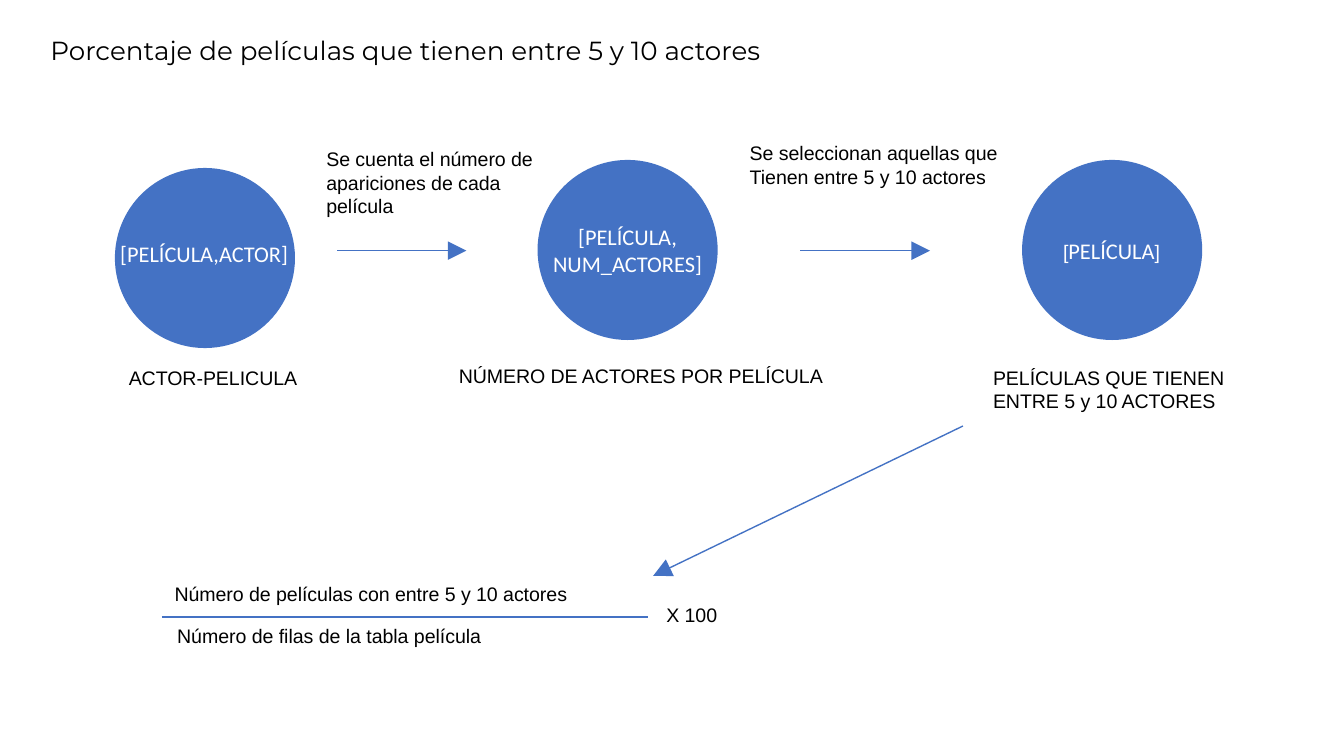
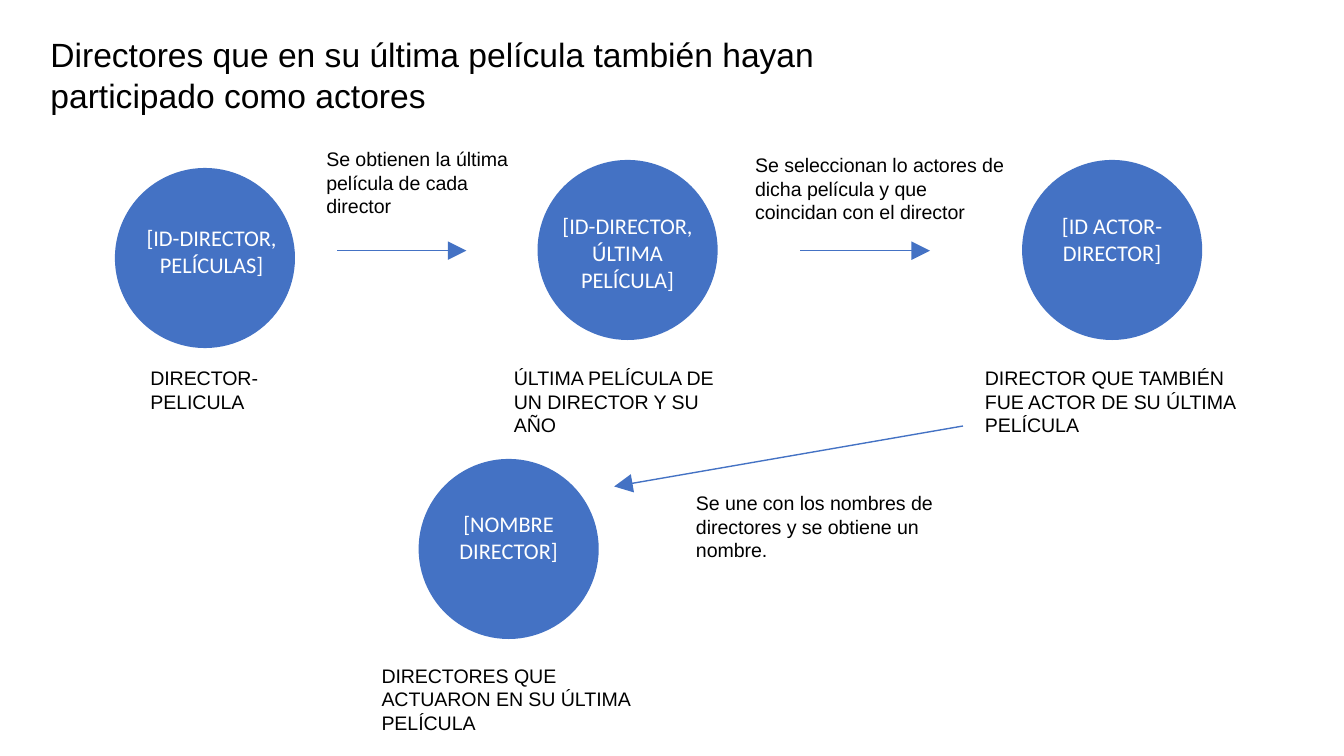
from dataclasses import dataclass

from lxml import etree
from pptx import Presentation
from pptx.dml.color import RGBColor
from pptx.enum.shapes import MSO_CONNECTOR, MSO_SHAPE
from pptx.enum.text import MSO_ANCHOR, MSO_AUTO_SIZE, PP_ALIGN
from pptx.oxml.ns import qn
from pptx.util import Emu, Pt

STRAIGHT = MSO_CONNECTOR.STRAIGHT
OVAL = MSO_SHAPE.OVAL
TOP = MSO_ANCHOR.TOP
NO_AUTOFIT = MSO_AUTO_SIZE.NONE
LEFT, CENTER = PP_ALIGN.LEFT, PP_ALIGN.CENTER
TITLE_ONLY = 5
EMU_PER_PX = 4572  # 200 px to the inch


@dataclass(frozen=True)
class TextStyle:
    font: str
    size: float
    color: RGBColor


@dataclass(frozen=True)
class Theme:
    accent: RGBColor = RGBColor(0x44, 0x72, 0xC4)
    ink: RGBColor = RGBColor(0, 0, 0)
    paper: RGBColor = RGBColor(0xFF, 0xFF, 0xFF)
    line_width: float = 0.75
    note_size: float = 10.5
    field_size: float = 12
    short_title_size: float = 14
    long_title_size: float = 18


THEME = Theme()
NOTE = TextStyle("Arial", THEME.note_size, THEME.ink)
FIELD = TextStyle("Calibri", THEME.field_size, THEME.paper)
BRACKET = TextStyle("Arial", THEME.note_size, THEME.paper)
SHORT_TITLE = TextStyle("Montserrat", THEME.short_title_size, THEME.ink)
LONG_TITLE = TextStyle("Arial", THEME.long_title_size, THEME.ink)


@dataclass(frozen=True)
class Box:
    left: int
    top: int
    width: int
    height: int


@dataclass(frozen=True)
class Run:
    text: str
    style: TextStyle


Paragraph = str | tuple[Run, ...]


@dataclass(frozen=True)
class Label:
    box: Box
    paragraphs: tuple[Paragraph, ...]
    style: TextStyle = NOTE
    align: PP_ALIGN = LEFT


@dataclass(frozen=True)
class Link:
    start: tuple[int, int]
    end: tuple[int, int]
    arrow: bool = True


@dataclass(frozen=True)
class Diagram:
    title: str
    title_style: TextStyle
    circles: tuple[tuple[int, int], ...]
    links: tuple[Link, ...]
    labels: tuple[Label, ...]


SLIDE_WIDTH, SLIDE_HEIGHT = 2000, 1125
TITLE_BOX = Box(55, 41, 1274, 80)
DIAMETER = 268
STAGES = ((171, 250), (800, 238), (1521, 238))
STAGE_LINKS = (Link((502, 373), (694, 373)), Link((1191, 373), (1384, 373)))
RESULT_START = (1433, 634)
DIRECTOR_NAME = (623, 683)


def note(box: Box, *paragraphs: Paragraph) -> Label:
    return Label(box, paragraphs)


def field(box: Box, *paragraphs: Paragraph) -> Label:
    return Label(box, paragraphs, FIELD, CENTER)


ACTOR_SHARE = Diagram(
    "Porcentaje de películas que tienen entre 5 y 10 actores",
    SHORT_TITLE,
    STAGES,
    STAGE_LINKS + (
        Link(RESULT_START, (972, 857)),
        Link((241, 918), (964, 918), arrow=False),
    ),
    (
        note(Box(172, 535, 296, 56), "ACTOR-PELICULA"),
        note(Box(663, 532, 602, 56), "NÚMERO DE ACTORES POR PELÍCULA"),
        note(Box(1458, 534, 390, 90), "PELÍCULAS QUE TIENEN", "ENTRE 5 y 10 ACTORES"),
        note(Box(466, 209, 354, 126),
             "Se cuenta el número de", "apariciones de cada", "película"),
        note(Box(1096, 200, 416, 90),
             "Se seleccionan aquellas que", "Tienen entre 5 y 10 actores"),
        field(Box(157, 348, 294, 60), "[PELÍCULA,ACTOR]"),
        field(Box(800, 322, 268, 100), "[PELÍCULA,", "NUM_ACTORES]"),
        field(Box(1535, 343, 238, 60),
              (Run("[", BRACKET), Run("PELÍCULA", FIELD), Run("]", BRACKET))),
        note(Box(240, 856, 636, 56), "Número de películas con entre 5 y 10 actores"),
        note(Box(244, 918, 502, 56), "Número de filas de la tabla película"),
        note(Box(972, 887, 120, 56), "X 100"),
    ),
)

ACTING_DIRECTORS = Diagram(
    "Directores que en su última película también hayan participado como actores",
    LONG_TITLE,
    STAGES + (DIRECTOR_NAME,),
    STAGE_LINKS + (Link(RESULT_START, (914, 724)),),
    (
        note(Box(204, 535, 204, 56), "DIRECTOR-PELICULA"),
        note(Box(745, 535, 378, 90), "ÚLTIMA PELÍCULA DE UN DIRECTOR Y SU AÑO"),
        note(Box(1446, 535, 416, 126),
             "DIRECTOR QUE TAMBIÉN FUE ACTOR DE SU ÚLTIMA PELÍCULA"),
        note(Box(548, 978, 416, 126), "DIRECTORES QUE ACTUARON EN SU ÚLTIMA PELÍCULA"),
        note(Box(466, 209, 354, 126), "Se obtienen la última película de cada director"),
        note(Box(1104, 218, 416, 126),
             "Se seleccionan lo actores de dicha película y que coincidan con el director"),
        note(Box(1016, 721, 416, 126),
             "Se une con los nombres de directores y se obtiene un nombre."),
        field(Box(190, 324, 250, 96), "[ID-DIRECTOR, PELÍCULAS]"),
        field(Box(800, 306, 268, 134), "[ID-DIRECTOR,", "ÚLTIMA PELÍCULA]"),
        field(Box(1521, 306, 268, 134), "[ID ACTOR-DIRECTOR]"),
        field(Box(623, 749, 268, 134), "[NOMBRE DIRECTOR]"),
    ),
)


def px(length: int) -> Emu:
    return Emu(length * EMU_PER_PX)


def place(box: Box) -> tuple[Emu, Emu, Emu, Emu]:
    return px(box.left), px(box.top), px(box.width), px(box.height)


def write_text(frame, paragraphs: tuple[Paragraph, ...], *,
               style: TextStyle, align: PP_ALIGN = LEFT) -> None:
    """Fill a text frame; a paragraph is a plain string or a tuple of runs."""
    frame.word_wrap = True
    frame.auto_size = NO_AUTOFIT
    frame.vertical_anchor = TOP
    for index, content in enumerate(paragraphs):
        paragraph = frame.add_paragraph() if index else frame.paragraphs[0]
        paragraph.alignment = align
        runs = (Run(content, style),) if isinstance(content, str) else content
        for part in runs:
            run = paragraph.add_run()
            run.text = part.text
            run.font.name = part.style.font
            run.font.size = Pt(part.style.size)
            run.font.color.rgb = part.style.color


def add_title(slide, text: str, style: TextStyle) -> None:
    title = slide.shapes.title
    title.left, title.top, title.width, title.height = place(TITLE_BOX)
    write_text(title.text_frame, (text,), style=style)


def add_circle(slide, left: int, top: int) -> None:
    circle = slide.shapes.add_shape(OVAL, *place(Box(left, top, DIAMETER, DIAMETER)))
    circle.shadow.inherit = False
    circle.fill.solid()
    circle.fill.fore_color.rgb = THEME.accent
    circle.line.fill.background()


def add_link(slide, link: Link) -> None:
    connector = slide.shapes.add_connector(
        STRAIGHT, *(px(value) for value in link.start + link.end))
    connector.line.color.rgb = THEME.accent
    connector.line.width = Pt(THEME.line_width)
    properties = connector.element.spPr
    if link.arrow:
        etree.SubElement(properties.find(qn("a:ln")), qn("a:tailEnd"),
                         type="triangle", w="lg", len="lg")
    etree.SubElement(properties, qn("a:effectLst"))


def add_label(slide, label: Label) -> None:
    textbox = slide.shapes.add_textbox(*place(label.box))
    write_text(textbox.text_frame, label.paragraphs, style=label.style, align=label.align)


def add_diagram(deck, diagram: Diagram) -> None:
    slide = deck.slides.add_slide(deck.slide_layouts[TITLE_ONLY])
    add_title(slide, diagram.title, diagram.title_style)
    for left, top in diagram.circles:
        add_circle(slide, left, top)
    for link in diagram.links:
        add_link(slide, link)
    for label in diagram.labels:
        add_label(slide, label)


def main() -> None:
    deck = Presentation()
    deck.slide_width, deck.slide_height = px(SLIDE_WIDTH), px(SLIDE_HEIGHT)
    for diagram in (ACTOR_SHARE, ACTING_DIRECTORS):
        add_diagram(deck, diagram)
    deck.save("out.pptx")


if __name__ == "__main__":
    main()
